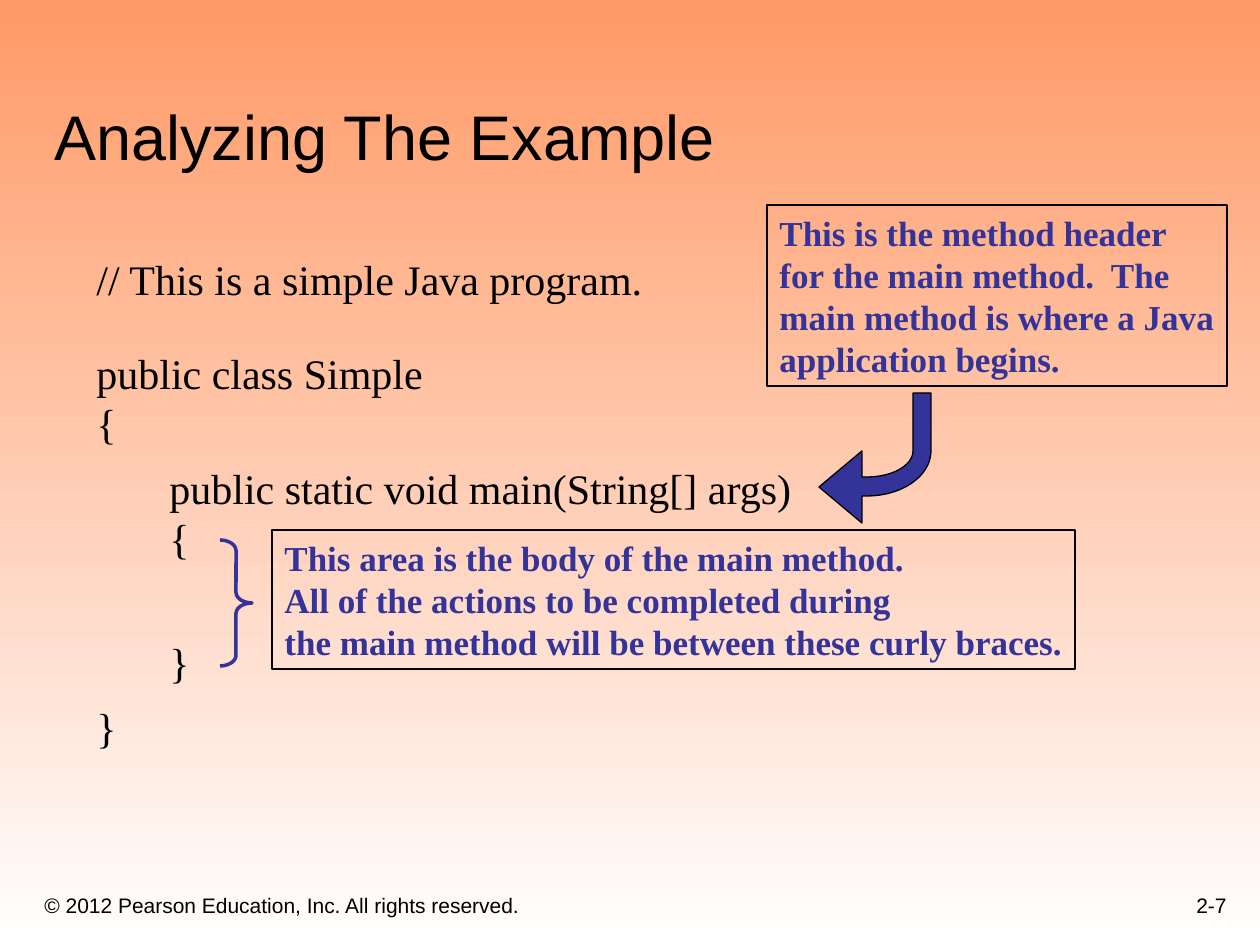
from dataclasses import dataclass
from math import cos, pi, sin

from pptx import Presentation
from pptx.dml.color import RGBColor as Rgb
from pptx.enum.shapes import MSO_SHAPE as Preset
from pptx.enum.text import MSO_ANCHOR as Anchor, PP_ALIGN as Align
from pptx.util import Emu, Pt

EMU_PER_PX = 914400 / 126


def px(length):
    return Emu(round(length * EMU_PER_PX))


@dataclass(frozen=True)
class Theme:
    sky: Rgb = Rgb(0xFF, 0x99, 0x66)
    ground: Rgb = Rgb(0xFF, 0xFF, 0xFF)
    ink: Rgb = Rgb(0, 0, 0)
    accent: Rgb = Rgb(0x33, 0x33, 0x99)
    sans: str = "Arial"
    serif: str = "Times New Roman"
    title_size: int = 36
    code_size: int = 24
    note_size: int = 20
    footer_size: int = 12
    outline: float = 0.75
    brace_line: int = 2


THEME = Theme()


def write_text(shape, paragraphs, font_name, size, color=THEME.ink, bold=False,
               align=Align.LEFT, anchor=Anchor.TOP, wrap=True, gap=0):
    frame = shape.text_frame
    frame.word_wrap = wrap
    frame.vertical_anchor = anchor
    for index, lines in enumerate(paragraphs):
        paragraph = frame.add_paragraph() if index else frame.paragraphs[0]
        paragraph.alignment = align
        if index:
            paragraph.space_before = Pt(gap)
        for line_index, line in enumerate(lines.split("\n")):
            if line_index:
                paragraph.add_line_break()
            run = paragraph.add_run()
            run.text = line
            run.font.name = font_name
            run.font.size = Pt(size)
            run.font.bold = bold
            run.font.color.rgb = color


def add_text(slide, box, paragraphs, font_name, size, **options):
    shape = slide.shapes.add_textbox(*map(px, box))
    write_text(shape, paragraphs, font_name, size, **options)


def paint_background(slide):
    fill = slide.background.fill
    fill.gradient()
    fill.gradient_angle = 270
    for stop, color in zip(fill.gradient_stops, (THEME.sky, THEME.ground)):
        stop.color.rgb = color


def add_title(slide, box):
    add_text(slide, box, ["Analyzing The Example"], THEME.sans,
             THEME.title_size, anchor=Anchor.BOTTOM)


def add_footer(slide, box):
    left, top, width, height = box
    number_width = 262
    add_text(slide, (left, top, 766, height),
             ["© 2012 Pearson Education, Inc. All rights reserved."],
             THEME.sans, THEME.footer_size, anchor=Anchor.BOTTOM)
    add_text(slide, (left + width - number_width, top, number_width, height),
             ["2-7"], THEME.sans, THEME.footer_size,
             align=Align.RIGHT, anchor=Anchor.BOTTOM)


def add_code(slide, box):
    left, top, width, height = box
    add_text(slide, (left, top, 572, 63), ["// This is a simple Java program."],
             THEME.serif, THEME.code_size, wrap=False)
    add_text(slide, (left, top + 94, 410, height - 94),
             ["public class Simple\n{", "}"],
             THEME.serif, THEME.code_size, gap=145)
    add_text(slide, (left + 73, top + 209, width - 73, 296),
             ["public static void main(String[] args)\n{", "}"],
             THEME.serif, THEME.code_size, wrap=False, gap=42)


def add_note(slide, box, lines):
    note = slide.shapes.add_shape(Preset.RECTANGLE, *map(px, box))
    note.shadow.inherit = False
    note.fill.background()
    note.line.color.rgb = THEME.ink
    note.line.width = Pt(THEME.outline)
    write_text(note, lines, THEME.serif, THEME.note_size,
               color=THEME.accent, bold=True, wrap=False)


def quarter_arc(center_x, center_y, radius_x, radius_y, steps=24):
    angles = [pi / 2 * (1 - step / steps) for step in range(steps + 1)]
    return [(center_x + radius_x * cos(angle), center_y + radius_y * sin(angle))
            for angle in angles]


def add_curved_arrow(slide, left, top):
    outer = quarter_arc(48, 58, 64, 45)
    inner = quarter_arc(48, 58, 46, 26)
    outline = [(0, 94), (43, 130), (43, 103), *outer, (112, 0), (94, 0),
               *reversed(inner), (43, 84), (43, 58)]
    points = [(px(left + x), px(top + y)) for x, y in outline]
    builder = slide.shapes.build_freeform(*points[0], scale=1.0)
    builder.add_line_segments(points[1:], close=True)
    arrow = builder.convert_to_shape()
    arrow.shadow.inherit = False
    arrow.fill.solid()
    arrow.fill.fore_color.rgb = THEME.accent
    arrow.line.color.rgb = THEME.ink
    arrow.line.width = Pt(THEME.outline)


def add_header_note(slide, box):
    left, top, width, height = box
    add_note(slide, (left, top, width, 181), [
        "This is the method header",
        "for the main method.  The",
        "main method is where a Java",
        "application begins.",
    ])
    add_curved_arrow(slide, left + 52, top + height - 130)


def add_body_note(slide, box):
    left, top, width, height = box
    add_note(slide, (left + 52, top, width - 52, height), [
        "This area is the body of the main method.",
        "All of the actions to be completed during",
        "the main method will be between these curly braces.",
    ])
    brace = slide.shapes.add_shape(
        Preset.RIGHT_BRACE, *map(px, (left, top + 10, 32, 126)))
    brace.adjustments[0] = 0.33
    brace.shadow.inherit = False
    brace.fill.background()
    brace.line.color.rgb = THEME.accent
    brace.line.width = Pt(THEME.brace_line)


def main():
    presentation = Presentation()
    presentation.slide_width, presentation.slide_height = px(1260), px(945)
    slide = presentation.slides.add_slide(presentation.slide_layouts[6])
    paint_background(slide)
    add_footer(slide, (32, 871, 1207, 53))
    add_title(slide, (42, 42, 1187, 137))
    add_code(slide, (84, 247, 721, 510))
    add_body_note(slide, (220, 530, 855, 139))
    add_header_note(slide, (767, 205, 460, 318))
    presentation.save("out.pptx")


if __name__ == "__main__":
    main()
